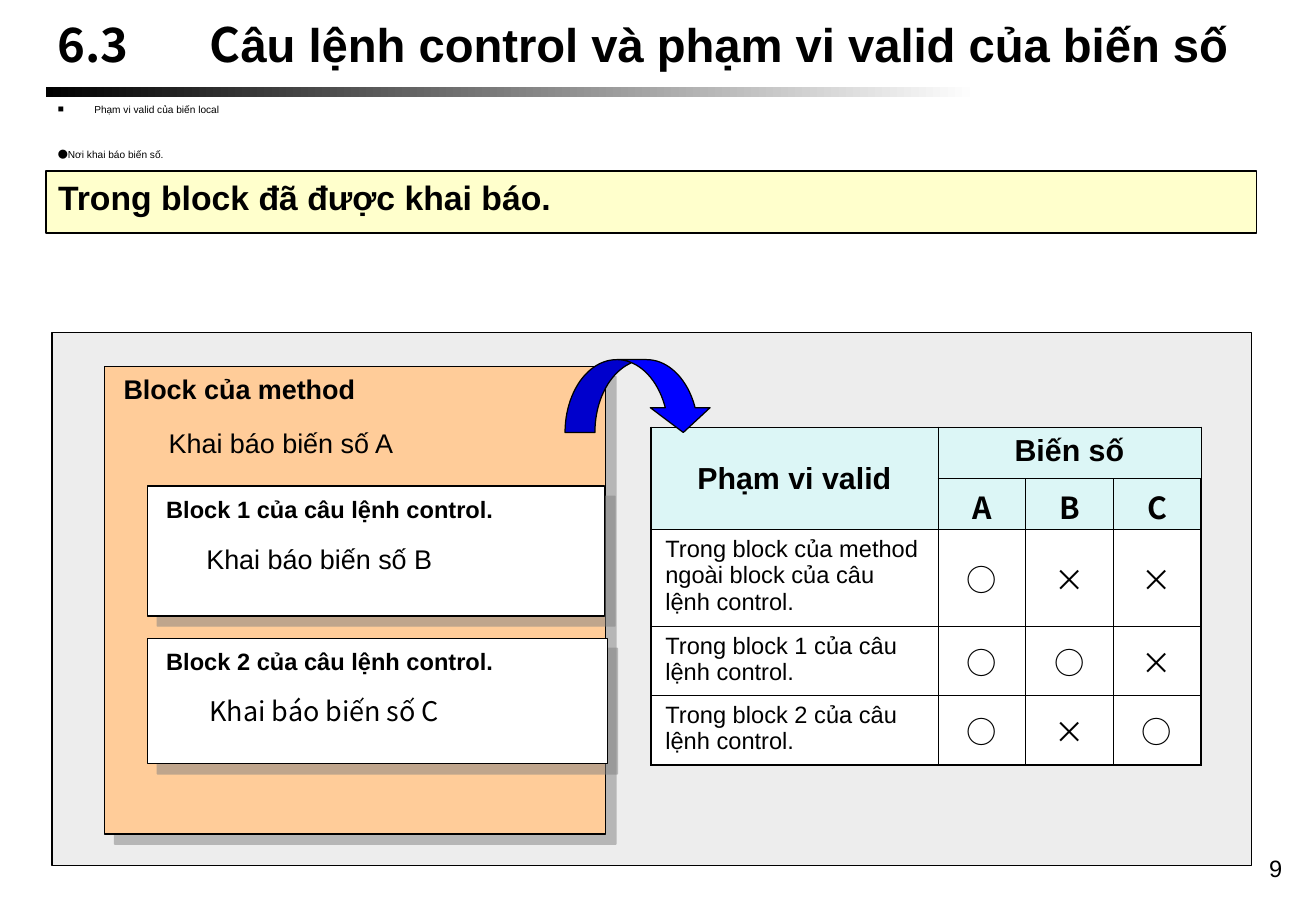
import dataclasses

import pptx
import pptx.dml.color
import pptx.enum.shapes
import pptx.enum.text
import pptx.oxml
import pptx.oxml.ns
import pptx.util

Pt = pptx.util.Pt
RGB = pptx.dml.color.RGBColor.from_string
qn = pptx.oxml.ns.qn
SHAPE = pptx.enum.shapes.MSO_SHAPE
ALIGN = pptx.enum.text.PP_ALIGN
ANCHOR = pptx.enum.text.MSO_ANCHOR
NS = pptx.oxml.ns.nsdecls("a")


@dataclasses.dataclass(frozen=True)
class Theme:
    ink: str = "000000"
    paper: str = "FFFFFF"
    panel: str = "DDDDDD"
    banner: str = "FFFFCC"
    method: str = "FFCC99"
    header: str = "CCFFFF"
    arrow: str = "0000FF"
    shadow: str = "808080"
    latin: str = "Arial"
    cjk: str = "Noto Sans CJK JP"
    title_size: float = 28
    banner_size: float = 20
    head_size: float = 18
    text_size: float = 16
    small_size: float = 14
    list_size: float = 6


T = Theme()


def set_all(obj, values):
    for name, value in values.items():
        setattr(obj, name, value)


def add_xml(parent, xml):
    parent.append(pptx.oxml.parse_xml(xml))


def add_run(p, text, size, bold=False, face=T.latin):
    r = p.add_run()
    r.text = text
    set_all(r.font, {"size": Pt(size), "bold": bold, "name": face})
    r.font.color.rgb = RGB(T.ink)
    add_xml(r.font._element, f'<a:ea {NS} typeface="{face}"/>')


def place(shape, box):
    set_all(shape, dict(zip(("left", "top", "width", "height"), map(Pt, box))))


def format_frame(tf, anchor=ANCHOR.TOP):
    set_all(tf, {
        "word_wrap": True, "auto_size": pptx.enum.text.MSO_AUTO_SIZE.NONE,
        "vertical_anchor": anchor,
        "margin_left": Pt(7.2), "margin_right": Pt(7.2),
        "margin_top": Pt(3.6), "margin_bottom": Pt(3.6)})


def fade(parent):
    add_xml(parent.find(".//" + qn("a:srgbClr")), f'<a:alpha {NS} val="50000"/>')


def add_label(s, box, text, size, bold=False, face=T.latin, align=ALIGN.LEFT):
    sp = s.shapes.add_textbox(*map(Pt, box))
    format_frame(sp.text_frame)
    p = sp.text_frame.paragraphs[0]
    p.alignment = align
    add_run(p, text, size, bold, face)


def add_box(s, box, fill, kind=SHAPE.RECTANGLE, line=0.75):
    sp = s.shapes.add_shape(kind, *map(Pt, box))
    sp.shadow.inherit = False
    sp.fill.solid()
    sp.fill.fore_color.rgb = RGB(fill)
    sp.line.color.rgb = RGB(T.ink)
    sp.line.width = Pt(line)
    return sp


def add_block(s, box, fill):
    sp = add_box(s, box, fill)
    add_xml(sp._element.spPr.find(qn("a:effectLst")),
            f'<a:outerShdw {NS} dist="{Pt(8.5)}" dir="2700000" algn="ctr" rotWithShape="0">'
            f'<a:srgbClr val="{T.shadow}"><a:alpha val="50000"/></a:srgbClr></a:outerShdw>')


def add_title_bar(s):
    sp = add_box(s, (27.36, 51.5, 552, 5.76), T.ink)
    sp.line.fill.background()
    sp.fill.gradient()
    sp.fill.gradient_angle = 0
    for stop, color in zip(sp.fill.gradient_stops, (T.ink, T.paper)):
        stop.color.rgb = RGB(color)


def fill_title(s):
    sp = s.shapes.title
    place(sp, (27.1, 6.5, 725.76, 38.88))
    format_frame(sp.text_frame, ANCHOR.MIDDLE)
    p = sp.text_frame.paragraphs[0]
    p.alignment = ALIGN.LEFT
    add_xml(p._p.get_or_add_pPr(),
            f'<a:tabLst {NS}><a:tab pos="{Pt(90)}" algn="l"/></a:tabLst>')
    add_run(p, "6.3\tC", T.title_size, True, T.cjk)
    add_run(p, "âu lệnh control và phạm vi valid của biến số", T.title_size, True)


def fill_list(s):
    sp = s.placeholders[1]
    place(sp, (27.1, 59, 700.56, 46))
    tf = sp.text_frame
    format_frame(tf)
    items = ((f'<a:buChar {NS} char="■"/>', 0, (("Phạm vi valid của biến local", T.latin),)),
             (f'<a:buNone {NS}/>', 20.8, (("●", T.cjk), ("Nơi khai báo biến số.", T.latin))))
    for i, (bullet, gap, runs) in enumerate(items):
        p = tf.add_paragraph() if i else tf.paragraphs[0]
        pPr = p._p.get_or_add_pPr()
        pPr.set("marL", str(Pt(21.6)))
        pPr.set("indent", str(Pt(-21.6)))
        add_xml(pPr, bullet)
        set_all(p, {"line_spacing": 0.8, "space_before": Pt(gap), "alignment": ALIGN.LEFT})
        for text, face in runs:
            add_run(p, text, T.list_size, face=face)


def format_cell(cell, fill, edges):
    cell.fill.solid()
    cell.fill.fore_color.rgb = RGB(fill)
    tcPr = cell._tc.get_or_add_tcPr()
    if fill == T.header:
        fade(tcPr)
    for i, (side, outer) in enumerate(edges.items()):
        width = Pt(1.08 if outer else 0.45)
        tcPr.insert(i, pptx.oxml.parse_xml(
            f'<a:ln{side} {NS} w="{width}"><a:solidFill><a:srgbClr val="{T.ink}"/>'
            f'</a:solidFill></a:ln{side}>'))


def add_scope_table(s):
    rows = (("Phạm vi valid", "Biến số", "", ""),
            ("", "A", "B", "C"),
            ("Trong block của method ngoài block của câu lệnh control.", "○", "×", "×"),
            ("Trong block 1 của câu lệnh control.", "○", "○", "×"),
            ("Trong block 2 của câu lệnh control.", "○", "×", "○"))
    widths, heights = (170.3, 52, 52, 52), (30.25, 30.25, 57.5, 41, 41)
    frame = s.shapes.add_table(len(rows), len(widths), Pt(386), Pt(253.4),
                               Pt(sum(widths)), Pt(sum(heights)))
    table = frame.table
    set_all(table, {"first_row": False, "horz_banding": False})
    for column, width in zip(table.columns, widths):
        column.width = Pt(width)
    for row, height in zip(table.rows, heights):
        row.height = Pt(height)
    for i, row in enumerate(rows):
        for j, text in enumerate(row):
            cell = table.cell(i, j)
            head, label = i < 2, j == 0
            format_cell(cell, T.header if head else T.paper,
                        {"L": j == 0, "R": j == 3, "T": i == 0, "B": i == 4})
            middle = label if head else not label
            set_all(cell, {"vertical_anchor": ANCHOR.MIDDLE if middle else ANCHOR.TOP,
                           "margin_left": Pt(8.6 if label and not head else 7.2),
                           "margin_right": Pt(9 if label and not head else 7.2),
                           "margin_bottom": Pt(0 if i == 1 else 3.6)})
            if text:
                p = cell.text_frame.paragraphs[0]
                p.alignment = ALIGN.LEFT if label and not head else ALIGN.CENTER
                add_run(p, text, T.small_size if label and not head else T.head_size,
                        head, T.latin if label or i == 0 else T.cjk)
    table.cell(0, 0).merge(table.cell(1, 0))
    table.cell(0, 1).merge(table.cell(0, 3))


def main():
    prs = pptx.Presentation()
    prs.slide_width = Pt(780.48)
    prs.slide_height = Pt(540)
    s = prs.slides.add_slide(prs.slide_layouts[1])
    add_title_bar(s)
    fill_title(s)
    fill_list(s)
    panel = add_box(s, (30.8, 197.3, 711.36, 316), T.panel)
    fade(panel._element.spPr)
    banner = add_box(s, (27.36, 101.2, 717.84, 36.9), T.banner, line=1)
    format_frame(banner.text_frame)
    p = banner.text_frame.paragraphs[0]
    p.alignment = ALIGN.LEFT
    add_run(p, "Trong block đã được khai báo.", T.banner_size, True)

    add_block(s, (62, 217.2, 297.36, 277.2), T.method)
    add_label(s, (66.2, 217.2, 153, 26.64), "Block của method", T.text_size, True)
    add_label(s, (93, 249.4, 153, 26.64), "Khai báo biến số A", T.text_size)
    controls = ((1, "B", 288.1, 271.44, 77.04, 115.3, 317.8, T.latin),
                (2, "C", 378.3, 272.88, 74.5, 117.2, 408.4, T.cjk))
    for number, name, top, width, height, left, text_top, face in controls:
        add_block(s, (87.3, top, width, height), T.paper)
        add_label(s, (91.5, top + 1.9, 238, 24.5),
                  f"Block {number} của câu lệnh control.", T.small_size, True)
        add_label(s, (left, text_top, 165, 26.64), f"Khai báo biến số {name}",
                  T.text_size, face=face)

    add_scope_table(s)
    arrow = add_box(s, (335.1, 213.2, 87.84, 43.2), T.arrow, SHAPE.CURVED_DOWN_ARROW)
    for i, value in enumerate((0.41, 0.82, 0.34)):
        arrow.adjustments[i] = value
    add_label(s, (599.8, 502.7, 167.76, 37.3), "9", T.small_size, align=ALIGN.RIGHT)
    prs.save("out.pptx")


if __name__ == "__main__":
    main()
